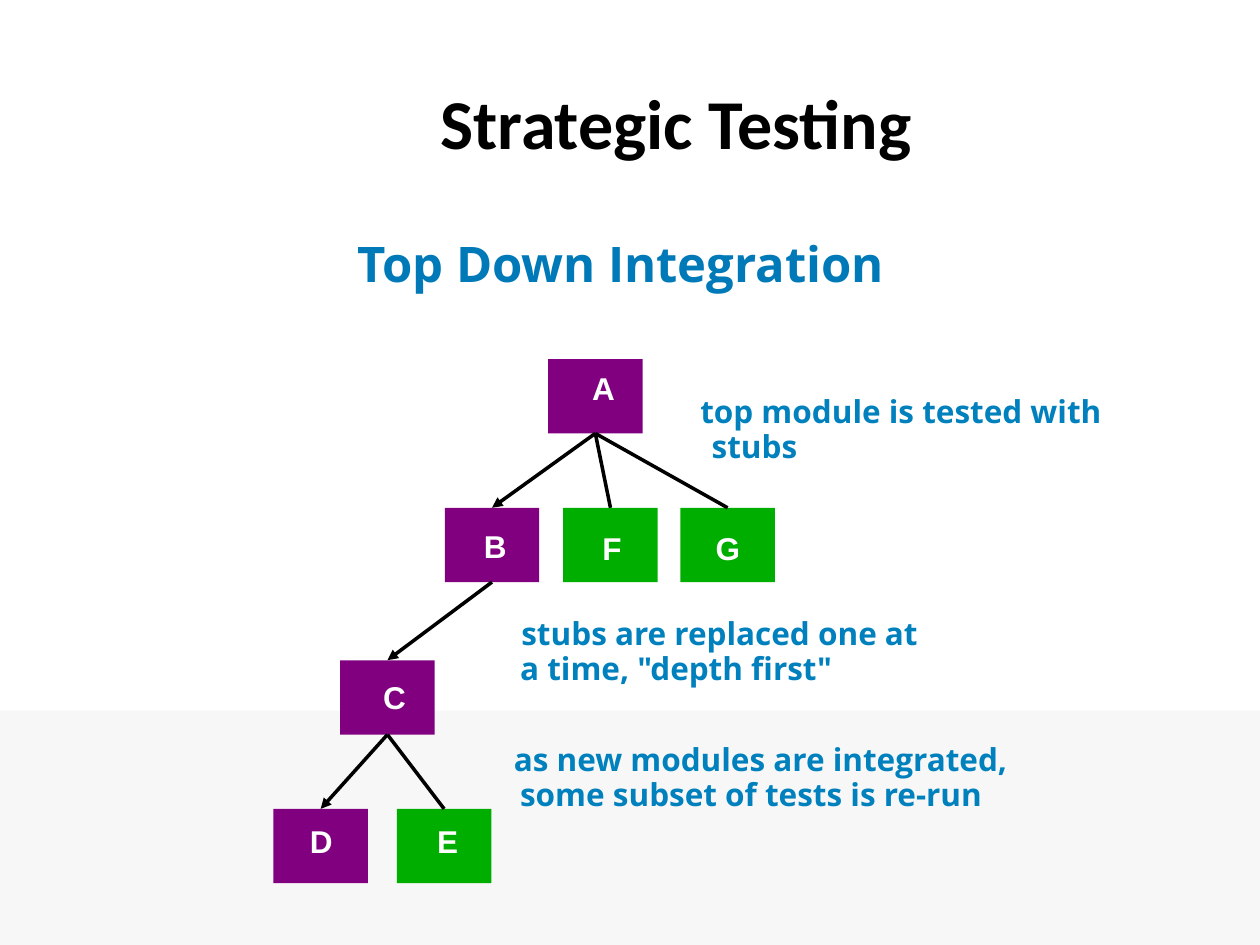
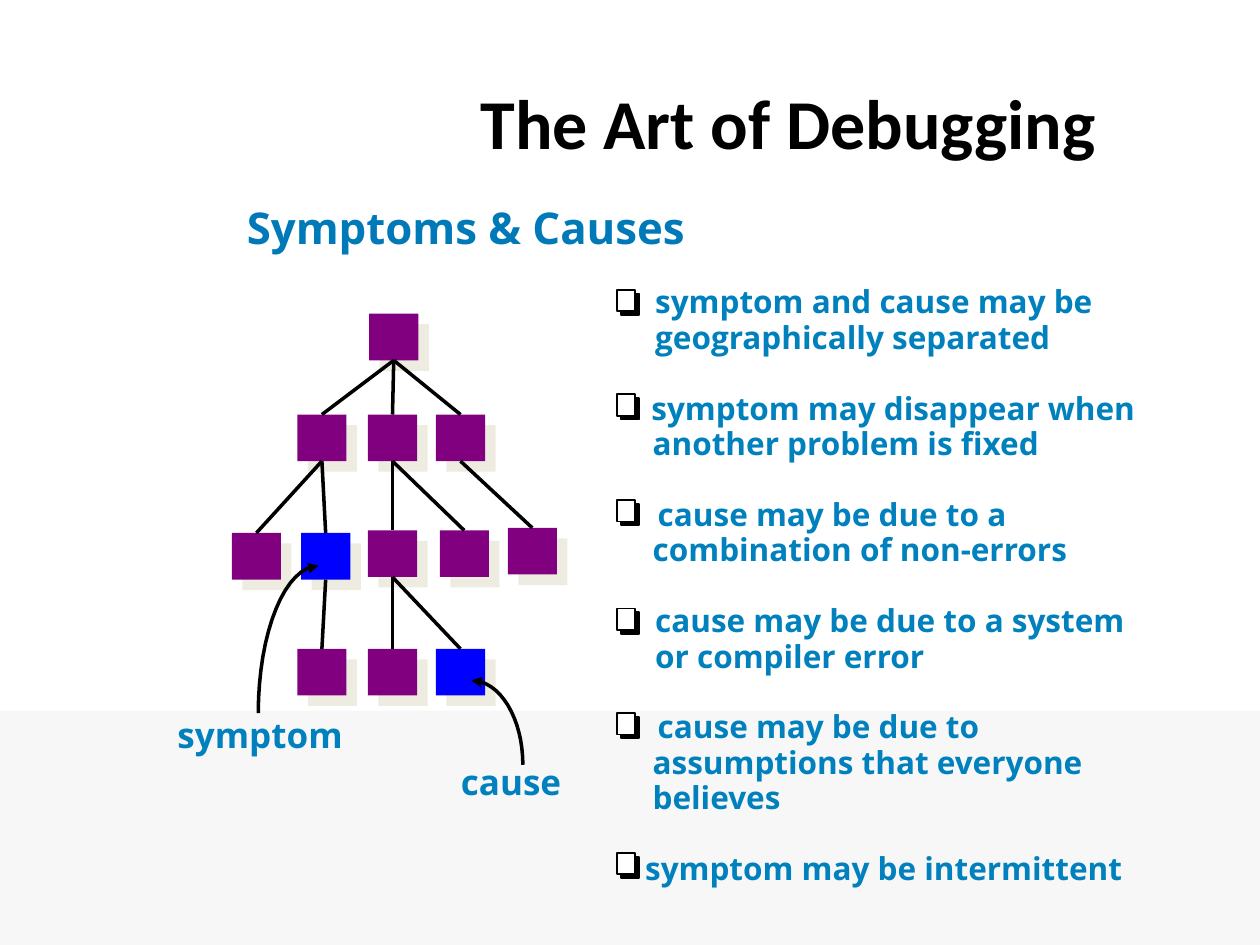
"""Build two slides on top down testing and the art of debugging."""
import math
from dataclasses import dataclass
from typing import Any, NamedTuple

import lxml.etree
import pptx
import pptx.dml.color
import pptx.enum.shapes
import pptx.enum.text
import pptx.oxml.ns
import pptx.util

Inches = pptx.util.Inches
Pt = pptx.util.Pt
Align = pptx.enum.text.PP_ALIGN
Anchor = pptx.enum.text.MSO_ANCHOR
qn = pptx.oxml.ns.qn


class Style(NamedTuple):
    face: str
    size: int
    color: str


@dataclass(frozen=True)
class Theme:
    band: str = "F7F7F7"
    ink: str = "000000"
    paper: str = "FFFFFF"
    done: str = "800080"
    stub: str = "00AE00"
    fault: str = "0000FF"
    shade: str = "EEECE1"
    head: Style = Style("Calibri", 40, "000000")
    title: Style = Style("Open Sans", 28, "0079B8")
    small: Style = Style("Open Sans", 25, "0079B8")
    note: Style = Style("Open Sans", 18, "0081BD")
    label: Style = Style("Open Sans", 20, "0081BD")
    letter: Style = Style("Arial", 18, "FFFFFF")
    stroke: float = 2
    pitch: float = 20.25


THEME = Theme()


class Box(NamedTuple):
    left: float
    top: float
    width: float
    height: float


class Module(NamedTuple):
    name: str
    left: float
    top: float
    dx: float
    dy: float
    color: str = THEME.done


class Node(NamedTuple):
    left: float
    top: float
    color: str = THEME.done


class Link(NamedTuple):
    start: Any
    end: Any
    arrow: bool = False


class Entry(NamedTuple):
    lines: tuple[str, ...]
    first: float
    hang: float


class Note(NamedTuple):
    box: Box
    entry: Entry


class Label(NamedTuple):
    text: str
    box: Box
    start: tuple[float, float]
    tip: tuple[float, float]


MODULES = [
    Module("A", 4.35, 2.85, 0.25, 0.03),
    Module("B", 3.53, 4.03, 0.21, 0.1),
    Module("C", 2.7, 5.24, 0.24, 0.09),
    Module("D", 2.17, 6.42, 0.19, 0.05),
    Module("E", 3.15, 6.42, 0.22, 0.05, THEME.stub),
    Module("F", 4.47, 4.03, 0.21, 0.12, THEME.stub),
    Module("G", 5.4, 4.03, 0.18, 0.12, THEME.stub),
]
CALLS = [Link("C", "E"), Link("A", "F"), Link("A", "G"),
         Link("A", "B", True), Link("B", "C", True), Link("C", "D", True)]
NOTES = [
    Note(Box(5.46, 3.08, 3.6, 0.7), Entry(("top module is tested with", "stubs"), 0, 0.09)),
    Note(Box(4.03, 4.84, 3.6, 0.7), Entry(("stubs are replaced one at", 'a time, "depth first"'), 0.01, 0)),
    Note(Box(3.98, 5.84, 4.4, 0.7),
         Entry(("as new modules are integrated,", "some subset of tests is re-run"), 0, 0.05)),
]
NODES = [
    Node(2.93, 2.49),
    Node(2.36, 3.29), Node(2.92, 3.29), Node(3.46, 3.29),
    Node(1.84, 4.23), Node(2.39, 4.23, THEME.fault), Node(2.92, 4.21), Node(3.49, 4.21), Node(4.03, 4.19),
    Node(2.36, 5.15), Node(2.92, 5.15), Node(3.46, 5.15, THEME.fault),
]
EDGES = [Link(0, 1), Link(0, 2), Link(0, 3), Link(1, 4), Link(1, 5), Link(2, 6),
         Link(2, 7), Link(3, 8), Link(5, 9), Link(6, 10), Link(6, 11)]
LABELS = [
    Label("symptom", Box(1.31, 5.61, 1.51, 0.43), (2.05, 5.66), (2.53, 4.49)),
    Label("cause", Box(3.56, 5.99, 1, 0.43), (4.15, 6.07), (3.74, 5.4)),
]
FACTS = [
    Entry(("symptom and cause may be", "geographically separated"), 0.1, 0.1),
    Entry(("symptom may disappear when", "another problem is fixed"), 0.07, 0.08),
    Entry(("cause may be due to a", "combination of non-errors"), 0.12, 0.08),
    Entry(("cause may be due to a system", "or compiler error"), 0.1, 0.1),
    Entry(("cause may be due to", "assumptions that everyone", "believes"), 0.12, 0.08),
    Entry(("symptom may be intermittent",), 0.02, 0.02),
]
MARKS = [2.3, 3.13, 3.97, 4.83, 5.66, 6.77]


def rgb(color: str) -> pptx.dml.color.RGBColor:
    return pptx.dml.color.RGBColor.from_string(color)


def place(shape: Any, box: Box) -> None:
    shape.left, shape.top, shape.width, shape.height = map(Inches, box)


def format_font(para: Any, style: Style) -> None:
    font = para.font
    font.name, font.size, font.bold = style.face, Pt(style.size), True
    font.color.rgb = rgb(style.color)


def write(frame: Any, text: str, style: Style, align: Any = Align.LEFT) -> None:
    para = frame.paragraphs[0]
    para.text, para.alignment = text, align
    format_font(para, style)


def write_lines(frame: Any, entries: list[Entry]) -> None:
    frame.word_wrap = True
    frame.auto_size = pptx.enum.text.MSO_AUTO_SIZE.NONE
    for rank, entry in enumerate(entries):
        para = frame.add_paragraph() if rank else frame.paragraphs[0]
        para.line_spacing = Pt(THEME.pitch)
        para.space_before = Pt(THEME.pitch if rank else 0)
        props = para._p.get_or_add_pPr()
        props.set("marL", str(Inches(entry.hang)))
        props.set("indent", str(Inches(entry.first) - Inches(entry.hang)))
        lxml.etree.SubElement(props, qn("a:buNone"))
        for row, line in enumerate(entry.lines):
            if row:
                para.add_line_break()
            para.add_run().text = line
        format_font(para, THEME.note)


def add_text(slide: Any, box: Box, text: str, style: Style, align: Any = Align.LEFT) -> None:
    shape = slide.shapes.add_textbox(*map(Inches, box))
    shape.text_frame.word_wrap = True
    write(shape.text_frame, text, style, align)


def add_rect(shapes: Any, box: Box, color: str, line: str = "") -> Any:
    rect = shapes.add_shape(pptx.enum.shapes.MSO_SHAPE.RECTANGLE, *map(Inches, box))
    rect.shadow.inherit = False
    rect.fill.solid()
    rect.fill.fore_color.rgb = rgb(color)
    if line:
        rect.line.color.rgb = rgb(line)
        rect.line.width = Pt(1)
    else:
        rect.line.fill.background()
    return rect


def add_module(slide: Any, item: Module) -> Any:
    rect = add_rect(slide.shapes, Box(item.left, item.top, 0.75, 0.59), item.color)
    frame = rect.text_frame
    frame.margin_left, frame.margin_top = Inches(item.dx + 0.1), Inches(item.dy + 0.05)
    frame.margin_right = frame.margin_bottom = 0
    frame.vertical_anchor = Anchor.TOP
    write(frame, item.name, THEME.letter)
    return rect


def add_node(slide: Any, item: Node) -> Any:
    rect = add_rect(slide.shapes, Box(item.left, item.top, 0.39, 0.37), item.color)
    effects = rect.element.spPr.find(qn("a:effectLst"))
    shade = lxml.etree.SubElement(effects, qn("a:outerShdw"), dist=str(Pt(8.5)),
                                  dir="2700000", algn="ctr", rotWithShape="0")
    lxml.etree.SubElement(shade, qn("a:srgbClr"), val=THEME.shade)
    return rect


def draw_stroke(shape: Any, arrow: bool) -> None:
    shape.line.color.rgb = rgb(THEME.ink)
    shape.line.width = Pt(THEME.stroke)
    if arrow:
        line = shape.element.spPr.find(qn("a:ln"))
        lxml.etree.SubElement(line, qn("a:tailEnd"), type="triangle")


def add_link(slide: Any, rects: Any, link: Link) -> None:
    line = slide.shapes.add_connector(pptx.enum.shapes.MSO_CONNECTOR.STRAIGHT, 0, 0, 0, 0)
    line.begin_connect(rects[link.start], 2)
    line.end_connect(rects[link.end], 0)
    draw_stroke(line, link.arrow)
    lxml.etree.SubElement(line.element.spPr, qn("a:effectLst"))


def add_curve(slide: Any, start: tuple[float, float], tip: tuple[float, float], steps: int = 16) -> None:
    wide, high = tip[0] - start[0], tip[1] - start[1]
    turns = [math.pi / 2 * step / steps for step in range(1, steps + 1)]
    points = [(Inches(start[0] + wide * (1 - math.cos(turn))),
               Inches(start[1] + high * math.sin(turn))) for turn in turns]
    pen = slide.shapes.build_freeform(*map(Inches, start))
    pen.add_line_segments(points, close=False)
    curve = pen.convert_to_shape()
    curve.shadow.inherit = False
    curve.fill.background()
    draw_stroke(curve, True)


def add_mark(slide: Any, top: float) -> None:
    group = slide.shapes.add_group_shape()
    for shift, color in ((0.03, THEME.ink), (0, THEME.paper)):
        add_rect(group.shapes, Box(4.9 + shift, top + shift, 0.14, 0.17), color, THEME.ink)


def add_slide(deck: Any, layout: int, head: str, spot: Box, title: str,
              box: Box, style: Style, align: Any) -> Any:
    slide = deck.slides.add_slide(deck.slide_layouts[layout])
    add_text(slide, spot, head, THEME.head, Align.CENTER)
    shape = slide.shapes.title
    place(shape, box)
    frame = shape.text_frame
    frame.auto_size = pptx.enum.text.MSO_AUTO_SIZE.NONE
    frame.vertical_anchor = Anchor.MIDDLE
    write(frame, title, style, align)
    return slide


def build_testing(deck: Any) -> Any:
    slide = add_slide(deck, 5, "Strategic Testing", Box(3.36, 0.58, 4.01, 0.77),
                      "Top Down Integration", Box(2.03, 1.8, 5.79, 0.57), THEME.title, Align.CENTER)
    rects = {item.name: add_module(slide, item) for item in MODULES}
    for link in CALLS:
        add_link(slide, rects, link)
    for note in NOTES:
        shape = slide.shapes.add_textbox(*map(Inches, note.box))
        write_lines(shape.text_frame, [note.entry])
    return slide


def build_debug(deck: Any) -> None:
    slide = add_slide(deck, 1, "The Art of Debugging", Box(3.42, 0.58, 5.67, 0.77),
                      "Symptoms & Causes", Box(1.86, 1.54, 6.36, 0.52), THEME.small, Align.LEFT)
    rects = [add_node(slide, item) for item in NODES]
    for link in EDGES:
        add_link(slide, rects, link)
    for label in LABELS:
        add_text(slide, label.box, label.text, THEME.label)
        add_curve(slide, label.start, label.tip)
    body = slide.placeholders[1]
    place(body, Box(5, 2.21, 4.4, 4.9))
    write_lines(body.text_frame, FACTS)
    for top in MARKS:
        add_mark(slide, top)


def main() -> None:
    deck = pptx.Presentation()
    deck.slide_width, deck.slide_height = Inches(10), Inches(7.5)
    slide = build_testing(deck)
    band = add_rect(slide.shapes, Box(0, 5.64, 10, 1.86), THEME.band)
    deck.slide_master.shapes.element.insert(2, band.element)
    build_debug(deck)
    deck.save("out.pptx")


if __name__ == "__main__":
    main()
